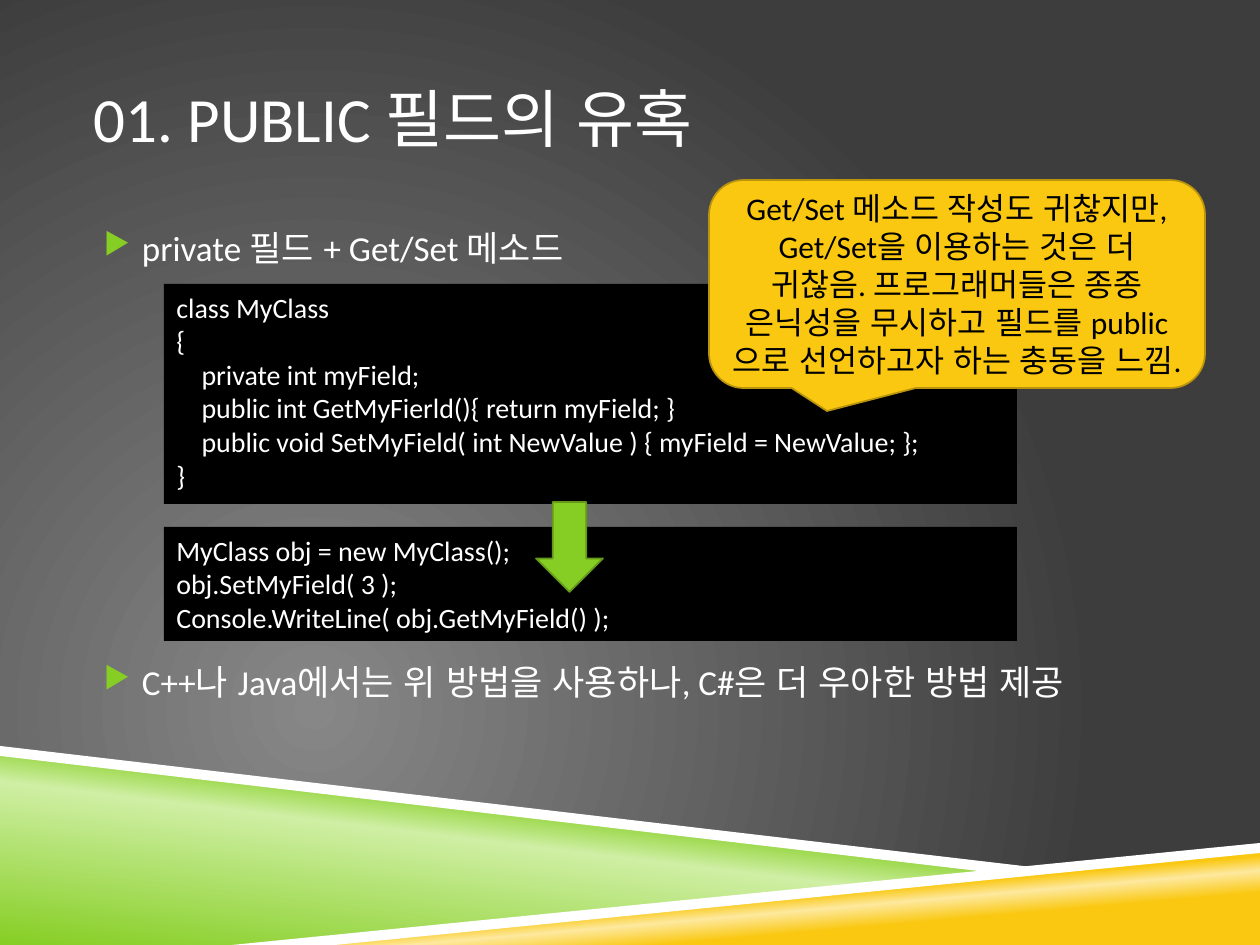
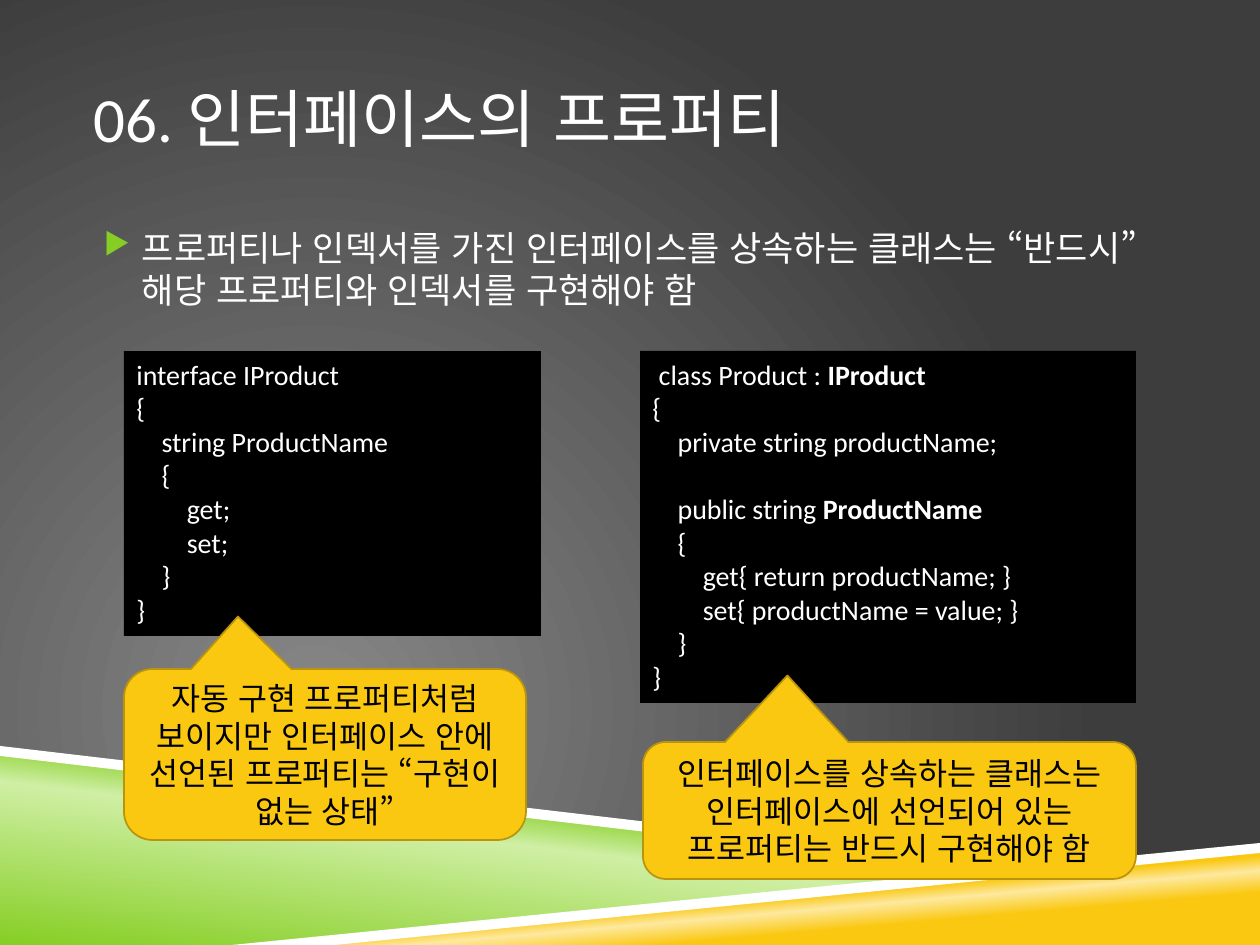
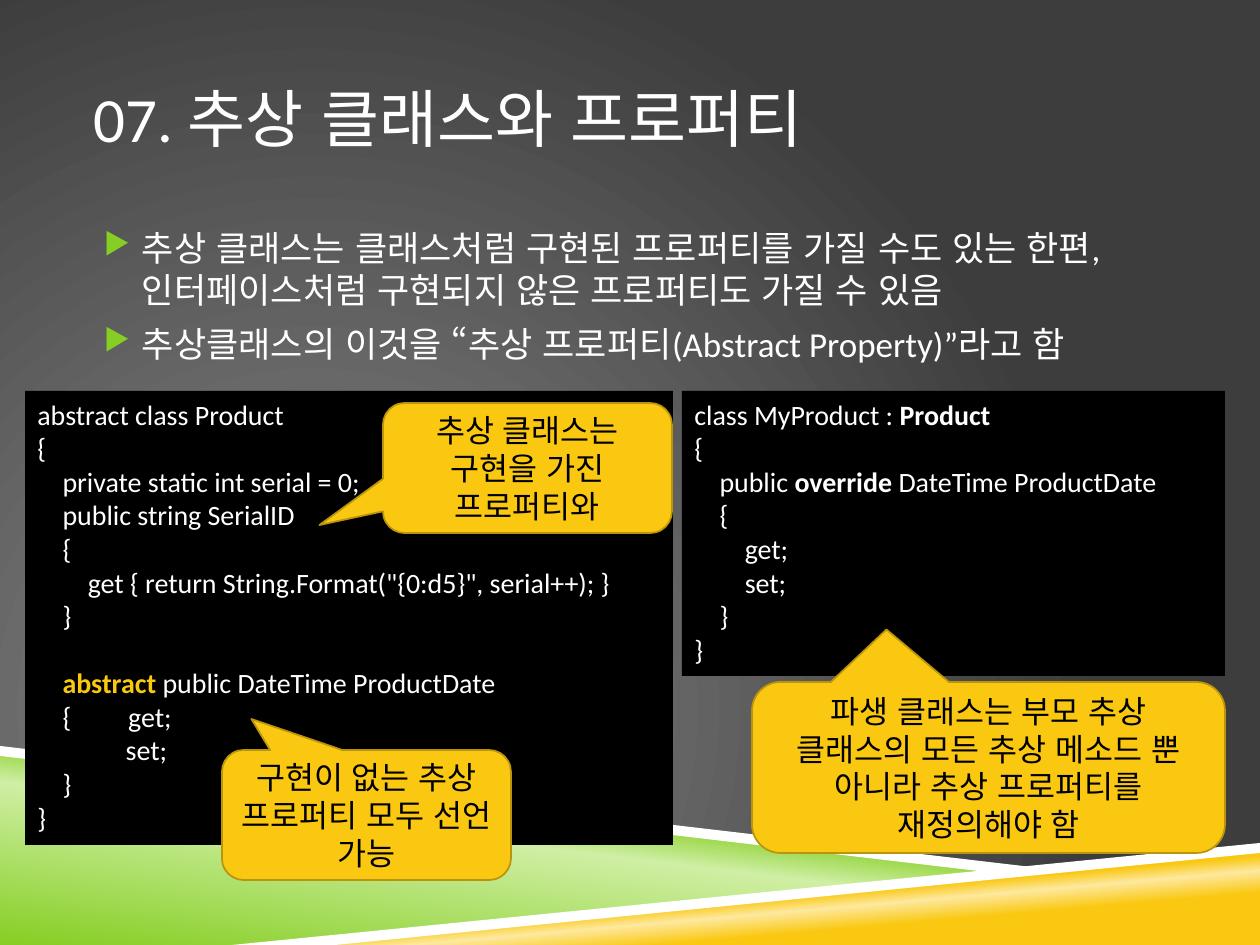
from collections import namedtuple

from lxml import etree
from pptx import Presentation
from pptx.dml.color import RGBColor
from pptx.enum.lang import MSO_LANGUAGE_ID as Language
from pptx.enum.shapes import MSO_SHAPE as Shape
from pptx.enum.text import MSO_ANCHOR as Anchor, PP_ALIGN as Align
from pptx.oxml.ns import qn
from pptx.util import Pt

PX = 914400 / 126
FONT = "Calibri"
WHITE = RGBColor(0xFF, 0xFF, 0xFF)
BLACK = RGBColor(0x00, 0x00, 0x00)
GREEN = RGBColor(0x86, 0xCE, 0x24)
PALE_GREEN = RGBColor(0xCF, 0xEF, 0xA4)
DARK_GREEN = RGBColor(0x63, 0x98, 0x1B)
GOLD = RGBColor(0xFA, 0xC8, 0x10)
PALE_GOLD = RGBColor(0xFD, 0xE9, 0x9F)
DARK_GOLD = RGBColor(0xB9, 0x94, 0x0C)
LIGHT_GRAY = RGBColor(0x87, 0x87, 0x87)
DARK_GRAY = RGBColor(0x3D, 0x3D, 0x3D)

Box = namedtuple("Box", "left top width height")
PAGE = Box(0, 0, 1260, 945)
TITLE = Box(94, 38, 1071, 158)
BODY = Box(94, 220, 1071, 514)
WAVES = Box(0, 746, 1260, 199)

FIELD_CLASS = """\
class MyClass
{
    private int myField;
    public int GetMyFierld(){ return myField; }
    public void SetMyField( int NewValue ) { myField = NewValue; };
}"""

FIELD_USE = """\
MyClass obj = new MyClass();
obj.SetMyField( 3 );
Console.WriteLine( obj.GetMyField() );"""

PRODUCT_INTERFACE = """\
interface IProduct
{
    string ProductName
    {
        get;
        set;
    }
}"""

PRODUCT_CLASS = """\
 class Product : *IProduct*
{
    private string productName;
 
    public string *ProductName*
    {
        get{ return productName; }
        set{ productName = value; }
    }
}"""

ABSTRACT_PRODUCT = """\
abstract class Product
{
    private static int serial = 0;
    public string SerialID
    {
        get { return String.Format("{0:d5}", serial++); }
    }
 
    *abstract *public DateTime ProductDate
    {         get;
              set;
    }
}"""

DERIVED_PRODUCT = """\
class MyProduct : *Product*
{
    public *override *DateTime ProductDate
    {
        get;
        set;
    }
}"""


def px(length):
    return round(length * PX)


def place(box):
    return [px(length) for length in box]


def set_gradient(fill, owner, stops, direction):
    """Give the fill its (percent, colour) stops and a direction element."""
    fill.gradient()
    gradient = owner.find(".//" + qn("a:gradFill"))
    for child in list(gradient):
        gradient.remove(child)
    stop_list = etree.SubElement(gradient, qn("a:gsLst"))
    for percent, color in stops:
        stop = etree.SubElement(stop_list, qn("a:gs"), pos=str(percent * 1000))
        etree.SubElement(stop, qn("a:srgbClr"), val=str(color))
    gradient.append(direction)


def linear(degrees):
    return etree.Element(qn("a:lin"), ang=str(degrees * 60000), scaled="0")


def circular(left, top, right, bottom):
    direction = etree.Element(qn("a:path"), path="circle")
    sides = {"l": left, "t": top, "r": right, "b": bottom}
    etree.SubElement(direction, qn("a:fillToRect"),
                     {side: str(percent * 1000) for side, percent in sides.items()})
    return direction


def set_background(master):
    set_gradient(master.background.fill, master.element,
                 [(0, LIGHT_GRAY), (100, DARK_GRAY)], circular(50, 100, 100, 50))


def format_run(span, size, color, bold=False):
    font = span.font
    font.name, font.size, font.bold = FONT, Pt(size), bold
    font.color.rgb = color
    font.language_id = Language.KOREAN


def add_outline(page, box, points):
    corners = [(box.left + x, box.top + y) for x, y in points]
    builder = page.shapes.build_freeform(*corners[0], scale=PX)
    builder.add_line_segments(corners[1:], close=True)
    outline = builder.convert_to_shape()
    outline.shadow.inherit = False
    outline.line.fill.background()
    return outline


def draw_waves(page, box):
    slopes = [
        ([(0, 6), (998, 126), (252, 199), (0, 199)],
         [(0, GREEN), (52, PALE_GREEN), (66, GREEN)], 277),
        ([(249, 199), (1260, 101), (1260, 199)],
         [(28, GOLD), (40, PALE_GOLD), (48, GOLD)], 265),
    ]
    for points, stops, degrees in slopes:
        slope = add_outline(page, box, points)
        set_gradient(slope.fill, slope.element, stops, linear(degrees))
    stripes = [
        [(0, 0), (0, 10), (995, 127), (1048, 123)],
        [(1260, 97), (232, 199), (335, 199), (1260, 107)],
    ]
    for points in stripes:
        stripe = add_outline(page, box, points)
        stripe.fill.solid()
        stripe.fill.fore_color.rgb = WHITE


def add_text_frame(page, box, anchor):
    frame = page.shapes.add_textbox(*place(box)).text_frame
    frame.word_wrap = True
    frame.vertical_anchor = anchor
    frame.margin_left = frame.margin_right = 0
    return frame


def draw_title(page, box, text):
    frame = add_text_frame(page, box, Anchor.MIDDLE)
    frame.text = text
    format_run(frame.paragraphs[0].runs[0], 36, WHITE)


def add_bullet(para):
    properties = para._p.get_or_add_pPr()
    properties.set("marL", str(px(48)))
    properties.set("indent", str(px(-38)))
    color = etree.SubElement(properties, qn("a:buClr"))
    etree.SubElement(color, qn("a:srgbClr"), val=str(GREEN))
    etree.SubElement(properties, qn("a:buSzPct"), val="85000")
    etree.SubElement(properties, qn("a:buChar"), char="▶")


def draw_bullets(page, box, lines, gap=7):
    """List the lines as bullets, with gap points between them."""
    frame = add_text_frame(page, box, Anchor.TOP)
    frame.text = "\n".join(lines)
    for index, para in enumerate(frame.paragraphs):
        add_bullet(para)
        if index:
            para.space_before = Pt(gap)
        format_run(para.runs[0], 20, WHITE)


def add_solid(page, kind, box, color, edge=None):
    solid = page.shapes.add_shape(kind, *place(box))
    solid.shadow.inherit = False
    solid.fill.solid()
    solid.fill.fore_color.rgb = color
    if edge is None:
        solid.line.fill.background()
    else:
        solid.line.color.rgb = edge
        solid.line.width = Pt(1)
    return solid


def draw_code(page, box, code, accent=None):
    """Show code on black; *marked* parts are bold, the accent one gold."""
    frame = add_solid(page, Shape.RECTANGLE, box, BLACK).text_frame
    frame.word_wrap = True
    frame.vertical_anchor = Anchor.TOP
    for index, line in enumerate(code.split("\n")):
        para = frame.add_paragraph() if index else frame.paragraphs[0]
        para.alignment = Align.LEFT
        for part, text in enumerate(line.split("*")):
            if text:
                span = para.add_run()
                span.text = text
                bold = part % 2 == 1
                color = GOLD if bold and text.strip() == accent else WHITE
                format_run(span, 16, color, bold)


def draw_callout(page, box, tip, text):
    """Draw a speech bubble; tip is the pointer's offset from its centre."""
    callout = add_solid(page, Shape.ROUNDED_RECTANGULAR_CALLOUT, box, GOLD, DARK_GOLD)
    callout.adjustments[0] = tip[0] / box.width
    callout.adjustments[1] = tip[1] / box.height
    frame = callout.text_frame
    frame.word_wrap = True
    frame.vertical_anchor = Anchor.MIDDLE
    frame.text = text
    para = frame.paragraphs[0]
    para.alignment = Align.CENTER
    format_run(para.runs[0], 18, BLACK)


def add_page(deck, title):
    page = deck.slides.add_slide(deck.slide_layouts[6])
    draw_waves(page, WAVES)
    draw_title(page, TITLE, title)
    return page


def build_public_field(deck):
    page = add_page(deck, "01. PUBLIC 필드의 유혹")
    draw_bullets(page, BODY, [
        "private 필드 + Get/Set 메소드",
        "C++나 Java에서는 위 방법을 사용하나, C#은 더 우아한 방법 제공",
    ], gap=224)
    draw_code(page, Box(164, 284, 853, 220), FIELD_CLASS)
    draw_code(page, Box(164, 527, 853, 114), FIELD_USE)
    add_solid(page, Shape.DOWN_ARROW, Box(536, 502, 67, 90), GREEN, DARK_GREEN)
    draw_callout(page, Box(709, 180, 496, 208), (-130, 127),
                 "Get/Set 메소드 작성도 귀찮지만, Get/Set을 이용하는 것은 더 귀찮음. "
                 "프로그래머들은 종종 은닉성을 무시하고 필드를 public으로 "
                 "선언하고자 하는 충동을 느낌.")


def build_interface(deck):
    page = add_page(deck, "06. 인터페이스의 프로퍼티")
    draw_bullets(page, BODY, [
        "프로퍼티나 인덱서를 가진 인터페이스를 상속하는 클래스는 “반드시” "
        "해당 프로퍼티와 인덱서를 구현해야 함",
    ])
    draw_code(page, Box(124, 351, 417, 285), PRODUCT_INTERFACE)
    draw_code(page, Box(640, 351, 496, 352), PRODUCT_CLASS)
    draw_callout(page, Box(643, 742, 493, 137), (-102, -135),
                 "인터페이스를 상속하는 클래스는 인터페이스에 선언되어 있는 "
                 "프로퍼티는 반드시 구현해야 함")
    draw_callout(page, Box(124, 669, 402, 171), (-87, -138),
                 "자동 구현 프로퍼티처럼 보이지만 인터페이스 안에 선언된 "
                 "프로퍼티는 “구현이 없는 상태”")


def build_abstract_class(deck):
    page = add_page(deck, "07. 추상 클래스와 프로퍼티")
    draw_bullets(page, BODY, [
        "추상 클래스는 클래스처럼 구현된 프로퍼티를 가질 수도 있는 한편, "
        "인터페이스처럼 구현되지 않은 프로퍼티도 가질 수 있음",
        "추상클래스의 이것을 “추상 프로퍼티(Abstract Property)”라고 함",
    ])
    draw_code(page, Box(25, 391, 648, 454), ABSTRACT_PRODUCT, accent="abstract")
    draw_code(page, Box(682, 391, 543, 285), DERIVED_PRODUCT)
    draw_callout(page, Box(383, 403, 289, 130), (-208, 57),
                 "추상 클래스는 구현을 가진 프로퍼티와")
    draw_callout(page, Box(752, 682, 473, 171), (-102, -138),
                 "파생 클래스는 부모 추상 클래스의 모든 추상 메소드 뿐 아니라 "
                 "추상 프로퍼티를 재정의해야 함")
    draw_callout(page, Box(222, 750, 289, 130), (-115, -96),
                 "구현이 없는 추상 프로퍼티 모두 선언 가능")


def main():
    deck = Presentation()
    deck.slide_width, deck.slide_height = px(PAGE.width), px(PAGE.height)
    set_background(deck.slide_master)
    build_public_field(deck)
    build_interface(deck)
    build_abstract_class(deck)
    deck.save("out.pptx")


if __name__ == "__main__":
    main()
